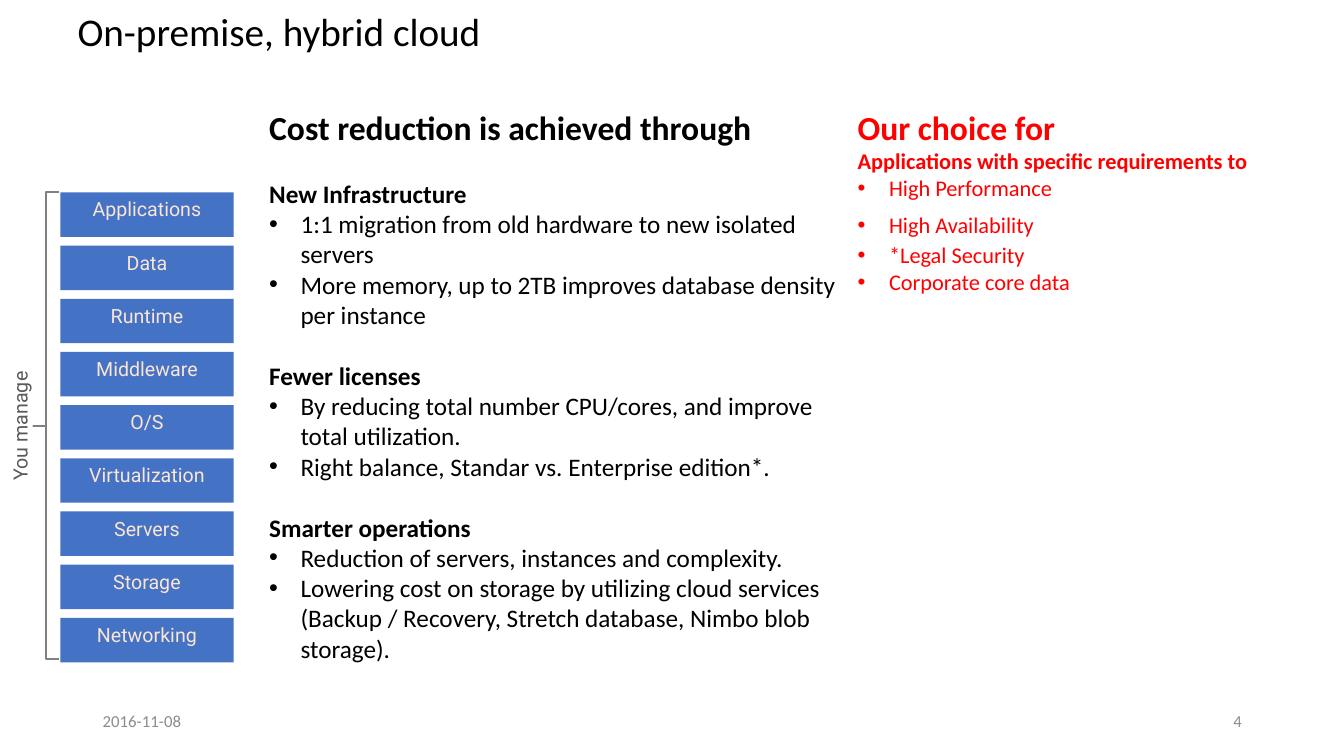
"""Build the slide on cost reduction with an on-premise, hybrid cloud."""
import pptx
import pptx.dml.color
import pptx.enum.shapes
import pptx.enum.text
import pptx.oxml.ns
import pptx.oxml.xmlchemy
import pptx.util

Cm, Pt = pptx.util.Cm, pptx.util.Pt
ALIGN = pptx.enum.text.PP_ALIGN
ANCHOR = pptx.enum.text.MSO_ANCHOR
SHAPE = pptx.enum.shapes.MSO_SHAPE

TITLE = "On-premise, hybrid cloud"
DATE, NUMBER = "2016-11-08", "4"
LAYERS = ["Applications", "Data", "Runtime", "Middleware", "O/S",
          "Virtualization", "Servers", "Storage", "Networking"]
SAVINGS_HEAD = "Cost reduction is achieved through"
SAVINGS = [
    ("New Infrastructure", [
        "1:1 migration from old hardware to new isolated servers",
        "More memory, up to 2TB improves database density per instance"]),
    ("Fewer licenses", [
        "By reducing total number CPU/cores, and improve total utilization.",
        "Right balance, Standar vs. Enterprise edition*."]),
    ("Smarter operations", [
        "Reduction of servers, instances and complexity.",
        "Lowering cost on storage by utilizing cloud services "
        "(Backup / Recovery, Stretch database, Nimbo blob storage)."]),
]
CHOICE_HEAD = "Our choice for"
CHOICE_SUBHEAD = "Applications with specific requirements to"
CHOICES = [("High Performance", 0, 0), ("High Availability", 7.5, 2),
           ("*Legal Security", 0, 0), ("Corporate core data", 0, 0)]

BLACK, RED, GREY = "000000", "FF0000", "8C8C8C"
BLUE, PEACH, LINE, LABEL = "4472C4", "FBE5D6", "808080", "595959"
LAYER_TOP, LAYER_STEP, LAYER_HEIGHT = 4.85, 1.34, 1.12


def rgb(code):
    return pptx.dml.color.RGBColor.from_string(code)


def place(s, left, top, width, height):
    s.left, s.top, s.width, s.height = map(Cm, (left, top, width, height))


def add_element(parent, tag, **attributes):
    element = pptx.oxml.xmlchemy.OxmlElement(tag)
    for name, value in attributes.items():
        element.set(name, value)
    parent.append(element)


def write(tf, text, size=18, color=BLACK, font="Calibri", bold=False,
          align=ALIGN.LEFT, before=0, after=0, spacing=1.0, bullet=False):
    p = tf.paragraphs[0]
    if p.runs:
        p = tf.add_paragraph()
    p.alignment, p.line_spacing = align, spacing
    p.space_before, p.space_after = Pt(before), Pt(after)
    pPr = p._p.get_or_add_pPr()
    indent = Cm(0.79) if bullet else 0
    pPr.set("marL", str(indent))
    pPr.set("indent", str(-indent))
    if bullet:
        add_element(pPr, "a:buFont", typeface="Arial")
        add_element(pPr, "a:buChar", char="•")
    else:
        add_element(pPr, "a:buNone")
    r = p.add_run()
    r.text = text
    r.font.name, r.font.size, r.font.bold = font, Pt(size), bold
    r.font.color.rgb = rgb(color)


def frame(s, anchor=ANCHOR.TOP, wrap=True):
    tf = s.text_frame
    tf.auto_size = pptx.enum.text.MSO_AUTO_SIZE.NONE
    tf.word_wrap, tf.vertical_anchor = wrap, anchor
    return tf


def textbox(slide, left, top, width, height, **kwargs):
    box = slide.shapes.add_textbox(*map(Cm, (left, top, width, height)))
    return frame(box, **kwargs)


def add_preset(slide, kind, left, top, width, height):
    s = slide.shapes.add_shape(kind, *map(Cm, (left, top, width, height)))
    s.shadow.inherit = False
    return s


def add_savings(s):
    place(s, 6.53, 2.57, 15.39, 15.9)
    tf = frame(s)
    write(tf, SAVINGS_HEAD, size=24, bold=True)
    for head, items in SAVINGS:
        write(tf, head, bold=True, before=22)
        for item in items:
            write(tf, item, bullet=True)


def add_choices(s):
    place(s, 21.36, 2.57, 12.5, 6.5)
    tf = frame(s)
    write(tf, CHOICE_HEAD, size=24, color=RED, bold=True)
    write(tf, CHOICE_SUBHEAD, size=16, color=RED, bold=True)
    for item, before, after in CHOICES:
        write(tf, item, size=16, color=RED, before=before, after=after, bullet=True)


def add_stack(slide):
    for i, layer in enumerate(LAYERS):
        s = add_preset(slide, SHAPE.RECTANGLE, 1.52, LAYER_TOP + i * LAYER_STEP,
                       4.37, LAYER_HEIGHT)
        s.fill.solid()
        s.fill.fore_color.rgb = rgb(BLUE)
        s.line.fill.background()
        write(frame(s), layer, size=14, color=PEACH, font="Roboto", align=ALIGN.CENTER)
    height = (len(LAYERS) - 1) * LAYER_STEP + LAYER_HEIGHT
    brace = add_preset(slide, SHAPE.LEFT_BRACE, 0.84, LAYER_TOP, 0.66, height - 0.08)
    brace.adjustments[0], brace.adjustments[1] = 0, 0.5
    brace.fill.background()
    brace.line.color.rgb = rgb(LINE)
    brace.line.width = Pt(1.5)
    tf = textbox(slide, 0.08, 9.25, 1.12, 2.97, wrap=False)
    tf._txBody.find(pptx.oxml.ns.qn("a:bodyPr")).set("vert", "vert270")
    write(tf, "You manage", size=14, color=LABEL, font="Roboto", align=ALIGN.CENTER)


def main():
    prs = pptx.Presentation()
    prs.slide_width, prs.slide_height = Cm(33.87), Cm(19.05)
    slide = prs.slides.add_slide(prs.slide_layouts[3])
    title, savings, choices = slide.placeholders
    place(title, 1.7, 0.2, 30.48, 1.07)
    write(frame(title), TITLE, size=28, spacing=0.9)
    add_savings(savings)
    add_choices(choices)
    add_stack(slide)
    for text, left, align in [(DATE, 2.34, ALIGN.LEFT), (NUMBER, 23.93, ALIGN.RIGHT)]:
        tf = textbox(slide, left, 17.65, 7.62, 1.02, anchor=ANCHOR.MIDDLE)
        write(tf, text, size=12, color=GREY, align=align)
    prs.save("out.pptx")


main()
